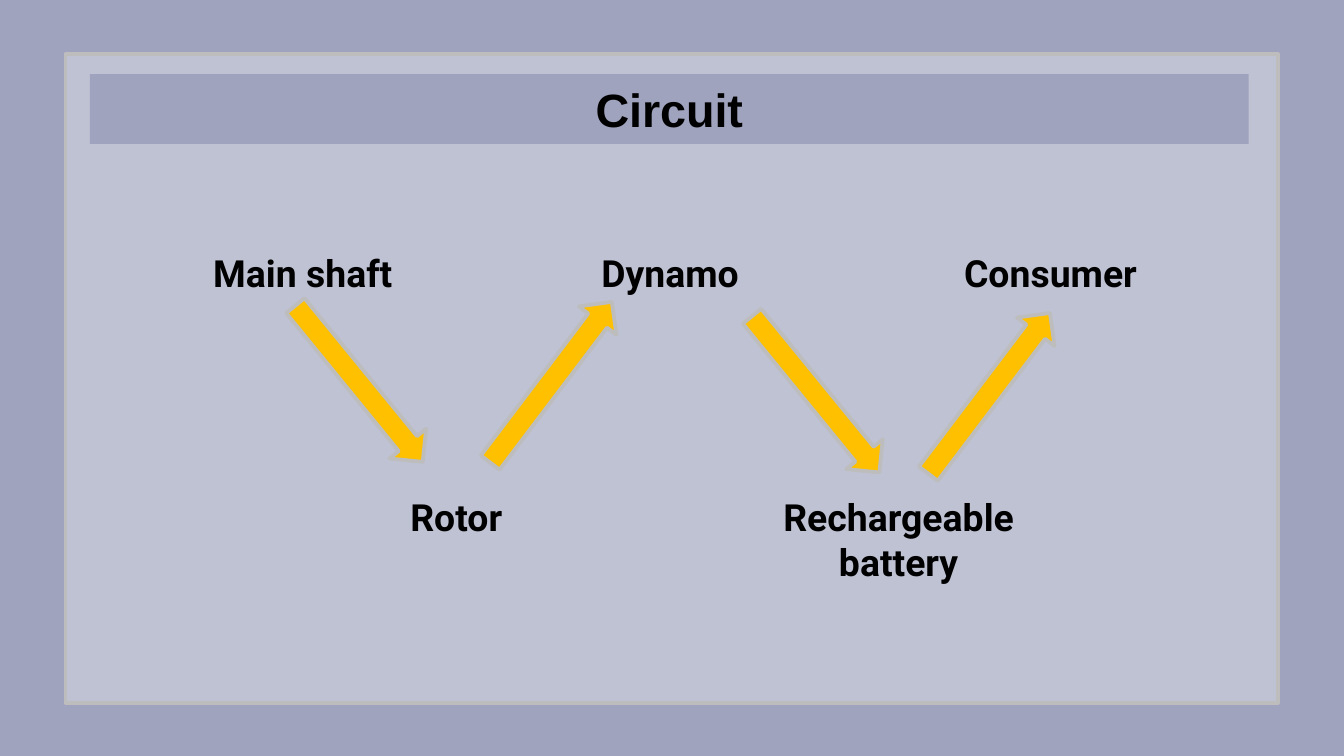
from pptx import Presentation
from pptx.dml.color import RGBColor
from pptx.enum.shapes import MSO_SHAPE as Shape
from pptx.enum.text import MSO_ANCHOR as Anchor, MSO_AUTO_SIZE as AutoSize, PP_ALIGN as Align
from pptx.util import Cm, Pt

# Content: name, left edge (cm), row
TITLE = "Circuit"
STAGES = [
    ("Main shaft", 2.84, "upper"),
    ("Rotor", 5.74, "lower"),
    ("Dynamo", 9.78, "upper"),
    ("Rechargeable battery", 14.1, "lower"),
    ("Consumer", 16.97, "upper"),
]
# Arrows between consecutive stages: left, top (cm), direction
ARROWS = [
    (4.88, 6.81, "down"),
    (8.51, 6.78, "up"),
    (13.51, 7.01, "down"),
    (16.79, 6.99, "up"),
]

# Layout and colours
ROW_TOP = {"upper": 4.6, "lower": 9.22}
ANGLE = {"down": 50.8, "up": 307.1}
LABEL_W, LABEL_H = 5.77, 1.12
ARROW_W, ARROW_H = 3.81, 0.89
COLORS = {
    "background": "9FA3BD",
    "panel": "BFC2D3",
    "outline": "BDBDBD",
    "arrow": "FFC000",
    "text": "000000",
}


def color(name):
    return RGBColor.from_string(COLORS[name])


def paint(obj, name):
    obj.fill.solid()
    obj.fill.fore_color.rgb = color(name)


def add_outlined(s, kind, box, fill):
    sp = s.shapes.add_shape(kind, *map(Cm, box))
    sp.shadow.inherit = False
    paint(sp, fill)
    sp.line.color.rgb = color("outline")
    sp.line.width = Pt(2)
    return sp


def write(sp, text, font, size):
    tf = sp.text_frame
    tf.word_wrap = True
    tf.text = text
    p = tf.paragraphs[0]
    p.alignment = Align.CENTER
    p.font.name = font
    p.font.size = Pt(size)
    p.font.bold = True
    p.font.color.rgb = color("text")
    return tf


prs = Presentation()
prs.slide_width, prs.slide_height = Cm(25.4), Cm(14.29)
s = prs.slides.add_slide(prs.slide_layouts[5])
paint(s.background, "background")

# Title band, with the panel behind it
title = s.shapes.title
title.left, title.top, title.width, title.height = map(Cm, (1.7, 1.4, 21.9, 1.32))
paint(title, "background")
tf = write(title, TITLE, "Arial", 25)
tf.vertical_anchor = Anchor.MIDDLE
tf.auto_size = AutoSize.NONE
panel = add_outlined(s, Shape.RECTANGLE, (1.24, 1.02, 22.91, 12.27), "panel")
title.element.addprevious(panel.element)

# Stage labels
for name, left, row in STAGES:
    label = s.shapes.add_textbox(*map(Cm, (left, ROW_TOP[row], LABEL_W, LABEL_H)))
    tf = write(label, name, "Roboto", 20)
    tf.auto_size = AutoSize.SHAPE_TO_FIT_TEXT

# Arrows from stage to stage
for left, top, direction in ARROWS:
    arrow = add_outlined(s, Shape.RIGHT_ARROW, (left, top, ARROW_W, ARROW_H), "arrow")
    arrow.rotation = ANGLE[direction]

prs.save("out.pptx")
